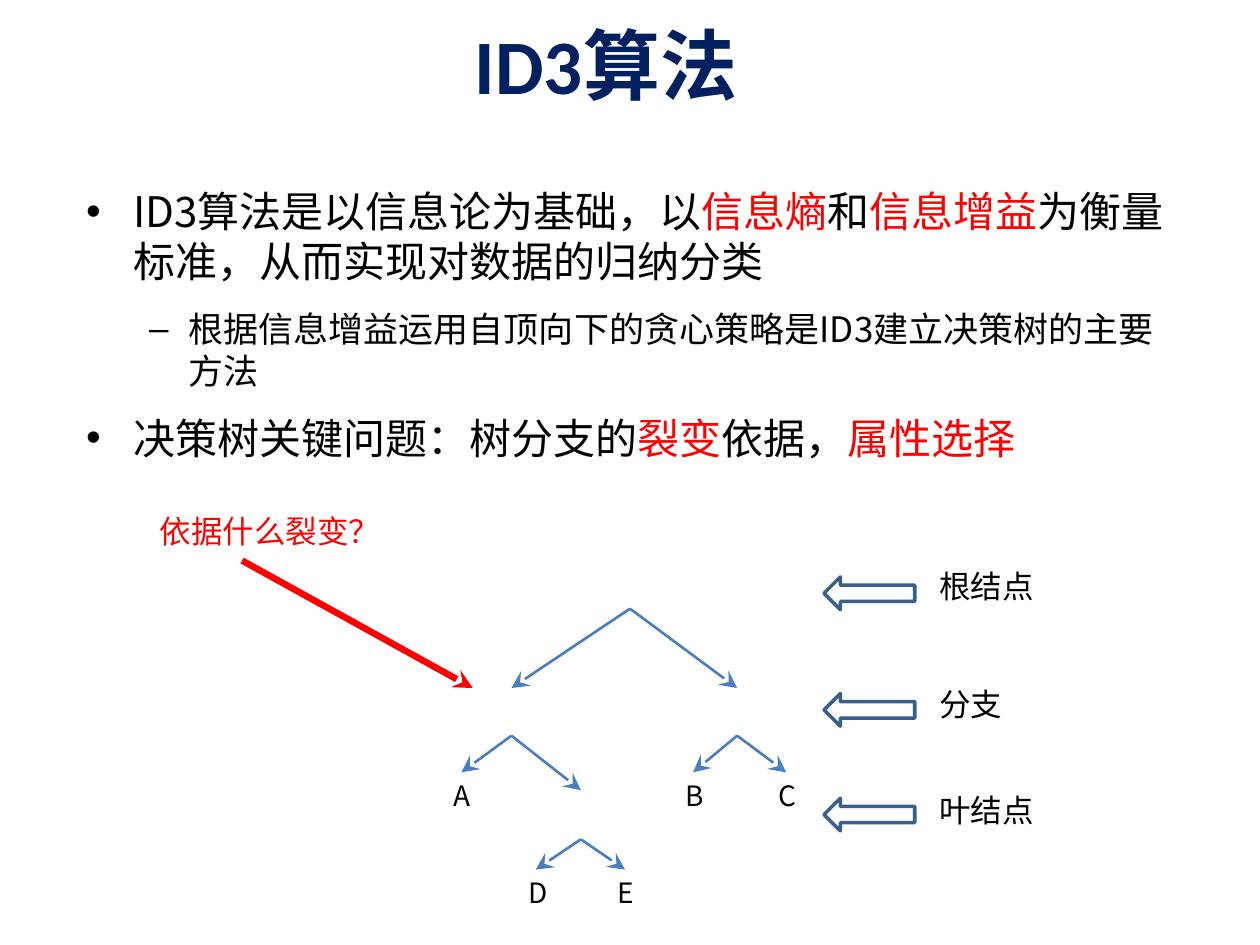
"""Build a slide that explains the ID3 algorithm with a small decision tree."""
from dataclasses import dataclass

from lxml import etree
from pptx import Presentation
from pptx.dml.color import RGBColor
from pptx.enum.shapes import MSO_CONNECTOR, MSO_SHAPE
from pptx.enum.text import MSO_ANCHOR, MSO_AUTO_SIZE, PP_ALIGN
from pptx.oxml.ns import qn
from pptx.util import Cm, Pt

LINE = MSO_CONNECTOR.STRAIGHT
ARROW = MSO_SHAPE.RIGHT_ARROW
TOP = MSO_ANCHOR.TOP
LEFT = PP_ALIGN.LEFT
FIXED = MSO_AUTO_SIZE.NONE
GROW = MSO_AUTO_SIZE.SHAPE_TO_FIT_TEXT


@dataclass(frozen=True)
class Theme:
    navy: str = "002060"
    black: str = "000000"
    red: str = "FF0000"
    blue: str = "4B7EBC"
    steel: str = "3A5F8C"
    latin: str = "Calibri"
    han: str = "Noto Sans CJK SC"
    title: int = 44
    levels: tuple = (24, 20)
    label: int = 18
    leaf: int = 16


theme = Theme()


def write(para, text, size=theme.label, color=theme.black, face=theme.han, bold=False):
    run = para.add_run()
    run.text = text
    run.font.size = Pt(size)
    run.font.bold = bold
    run.font.color.rgb = RGBColor.from_string(color)
    run.font.name = face
    etree.SubElement(run.font._element, qn("a:ea"), typeface=theme.han)


def link(start, end, color=theme.blue, width=1.5, head="lg"):
    line = slide.shapes.add_connector(LINE, *map(Cm, start + end))
    line.line.color.rgb = RGBColor.from_string(color)
    line.line.width = Pt(width)
    props = line._element.spPr
    etree.SubElement(props.find(qn("a:ln")), qn("a:tailEnd"), type="stealth", w=head, len=head)
    etree.SubElement(props, qn("a:effectLst"))


deck = Presentation()
deck.slide_width, deck.slide_height = Cm(25.4), Cm(19.05)
slide = deck.slides.add_slide(deck.slide_layouts[1])

title, body = slide.placeholders
title.left, title.top, title.width, title.height = map(Cm, (9.32, 0.43, 14.4, 2.54))
title.text_frame.vertical_anchor = TOP
title.text_frame.auto_size = FIXED
head = title.text_frame.paragraphs[0]
head.alignment = LEFT
head.line_spacing = 0.9
write(head, "ID3算法", size=theme.title, color=theme.navy, face=theme.latin, bold=True)

body.left, body.top, body.width, body.height = map(Cm, (1.48, 3.61, 22.66, 14.81))
frame = body.text_frame
frame.auto_size = FIXED
points = [
    (0, [("ID3算法是以信息论为基础，以", theme.black), ("信息熵", theme.red),
         ("和", theme.black), ("信息增益", theme.red),
         ("为衡量标准，从而实现对数据的归纳分类", theme.black)]),
    (1, [("根据信息增益运用自顶向下的贪心策略是ID3建立决策树的主要方法", theme.black)]),
    (0, [("决策树关键问题：树分支的", theme.black), ("裂变", theme.red),
         ("依据，", theme.black), ("属性选择", theme.red)]),
]
for index, (level, parts) in enumerate(points):
    para = frame.add_paragraph() if index else frame.paragraphs[0]
    para.level = level
    para.line_spacing = 1.0
    para.space_before = Pt(12 if index else 0)
    for text, color in parts:
        write(para, text, size=theme.levels[level], color=color)

root, left, right, low = (12.7, 12.27), (10.31, 14.83), (14.86, 14.83), (11.71, 16.92)
edges = [
    (root, (10.31, 13.87), None), (root, (14.86, 13.87), None),
    (left, (9.3, 15.57), "A"), (left, (11.71, 15.93), None),
    (right, (13.97, 15.57), "B"), (right, (15.85, 15.57), "C"),
    (low, (10.8, 17.53), "D"), (low, (12.6, 17.53), "E"),
]
labels = [("依据什么裂变？", 2.97, 10.19, 5, 1.02, theme.label, theme.red)]
for start, end, leaf in edges:
    link(start, end)
    if leaf:
        labels.append((leaf, end[0] - 0.4, end[1], 0.8, 0.94, theme.leaf, theme.black))
link((4.88, 11.3), (9.53, 13.87), color=theme.red, width=3.75, head="med")

sides = [("根结点", 11.3, 2.44, 11.63), ("分支", 13.69, 1.8, 13.98), ("叶结点", 15.82, 2.44, 16.09)]
for text, top, width, tip in sides:
    labels.append((text, 18.69, top, width, 1.02, theme.label, theme.black))
    arrow = slide.shapes.add_shape(ARROW, Cm(16.61), Cm(tip), Cm(1.83), Cm(0.66))
    arrow.rotation = 180
    arrow.shadow.inherit = False
    arrow.fill.background()
    arrow.line.color.rgb = RGBColor.from_string(theme.steel)
    arrow.line.width = Pt(2)

for text, x, y, width, height, size, color in labels:
    box = slide.shapes.add_textbox(Cm(x), Cm(y), Cm(width), Cm(height)).text_frame
    box.word_wrap = False
    box.auto_size = GROW
    write(box.paragraphs[0], text, size=size, color=color)

deck.save("out.pptx")
